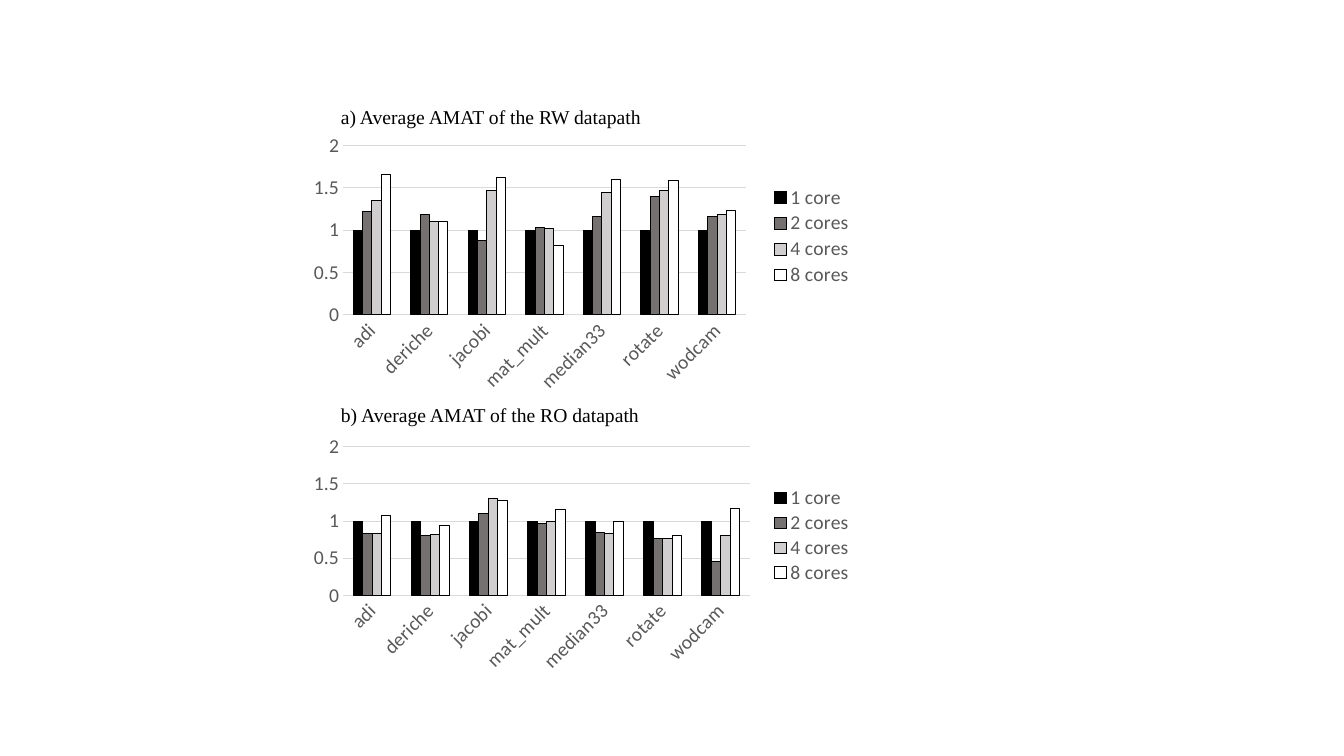
from lxml import etree
from pptx import Presentation
from pptx import util as u
from pptx.chart.data import CategoryChartData
from pptx.dml.color import RGBColor
from pptx.enum import chart as ch
from pptx.enum import text
from pptx.oxml.ns import qn

COLOURS = {
    "ink": "000000",
    "label": "595959",
    "grid": "D9D9D9",
    "1 core ": "000000",
    "2 cores": "767171",
    "4 cores": "D0CECE",
    "8 cores": "FFFFFF",
}
BENCHMARKS = ["adi", "deriche", "jacobi", "mat_mult", "median33", "rotate", "wodcam"]
RW_AMAT = {
    "1 core ": [1] * 7,
    "2 cores": [1.22, 1.18, 0.88, 1.03, 1.16, 1.4, 1.16],
    "4 cores": [1.35, 1.1, 1.47, 1.02, 1.44, 1.47, 1.18],
    "8 cores": [1.66, 1.1, 1.62, 0.82, 1.6, 1.58, 1.23],
}
RO_AMAT = {
    "1 core ": [1] * 7,
    "2 cores": [0.83, 0.81, 1.1, 0.97, 0.84, 0.76, 0.46],
    "4 cores": [0.83, 0.82, 1.3, 1, 0.83, 0.77, 0.8],
    "8 cores": [1.07, 0.94, 1.28, 1.15, 1, 0.81, 1.17],
}


def px(length):
    return u.Emu(round(length * 914400 / 100.8))


def colour(name):
    return RGBColor.from_string(COLOURS[name])


class SlideBuilder:
    chart_font = "Calibri"
    caption_font = "Times New Roman"
    size = u.Pt(14)
    line_width = u.Pt(0.75)

    def __init__(self, slide):
        self.slide = slide

    def style_font(self, font, name, colour_name):
        font.name = name
        font.size = self.size
        font.color.rgb = colour(colour_name)

    def style_line(self, line, colour_name):
        line.color.rgb = colour(colour_name)
        line.width = self.line_width

    def set_layout(self, parent, index, box, inner=False):
        for old in parent.findall(qn("c:layout")):
            parent.remove(old)
        layout = etree.Element(qn("c:layout"))
        manual = etree.SubElement(layout, qn("c:manualLayout"))
        settings = [("layoutTarget", "inner")] if inner else []
        settings += [("xMode", "edge"), ("yMode", "edge"), *zip("xywh", box)]
        for tag, value in settings:
            etree.SubElement(manual, qn(f"c:{tag}")).set("val", str(value))
        parent.insert(index, layout)

    def caption(self, left, top, width, height, words):
        shape = self.slide.shapes.add_textbox(*map(px, (left, top, width, height)))
        frame = shape.text_frame
        frame.word_wrap = True
        frame.auto_size = text.MSO_AUTO_SIZE.SHAPE_TO_FIT_TEXT
        run = frame.paragraphs[0].add_run()
        run.text = words
        self.style_font(run.font, self.caption_font, "ink")

    def column_chart(self, left, top, width, height, values, plot_box, legend_box, legend_position):
        data = CategoryChartData()
        data.categories = BENCHMARKS
        for name, numbers in values.items():
            data.add_series(name, numbers)
        frame = self.slide.shapes.add_chart(
            ch.XL_CHART_TYPE.COLUMN_CLUSTERED, *map(px, (left, top, width, height)), data
        )
        chart = frame.chart
        self.style_font(chart.font, self.chart_font, "ink")
        chart.has_title = False
        plot = chart.plots[0]
        plot.vary_by_categories = False
        plot.gap_width = 219
        plot.overlap = 0
        for series in plot.series:
            series.format.fill.solid()
            series.format.fill.fore_color.rgb = colour(series.name)
            self.style_line(series.format.line, "ink")
            series.invert_if_negative = False

        for axis in (chart.category_axis, chart.value_axis):
            axis.major_tick_mark = axis.minor_tick_mark = ch.XL_TICK_MARK.NONE
            self.style_font(axis.tick_labels.font, self.chart_font, "label")
        self.style_line(chart.category_axis.format.line, "grid")
        body = chart.category_axis._element.find(qn("c:txPr")).find(qn("a:bodyPr"))
        body.set("rot", "-2700000")
        axis = chart.value_axis
        axis.minimum_scale, axis.maximum_scale, axis.major_unit = 0, 2, 0.5
        axis.format.line.fill.background()
        axis.has_major_gridlines = True
        self.style_line(axis.major_gridlines.format.line, "grid")

        chart.has_legend = True
        legend = chart.legend
        legend.position = legend_position
        legend.include_in_layout = False
        self.style_font(legend.font, self.chart_font, "label")
        self.set_layout(legend._element, 1, legend_box)
        plot_area = chart._chartSpace.chart.plotArea
        self.set_layout(plot_area, 0, plot_box, inner=True)


def main():
    presentation = Presentation()
    presentation.slide_width = px(1344)
    presentation.slide_height = px(756)
    builder = SlideBuilder(presentation.slides.add_slide(presentation.slide_layouts[6]))
    position = ch.XL_LEGEND_POSITION
    builder.column_chart(
        301, 123, 577, 302, RW_AMAT,
        (0.073, 0.074, 0.698, 0.562), (0.81, 0.2, 0.15, 0.35), position.RIGHT,
    )
    builder.column_chart(
        301, 415, 577, 280, RO_AMAT,
        (0.073, 0.114, 0.705, 0.53), (0.81, 0.25, 0.15, 0.36), position.BOTTOM,
    )
    builder.caption(331, 100, 419, 34, "a) Average AMAT of the RW datapath")
    builder.caption(331, 398, 419, 34, "b) Average AMAT of the RO datapath")
    presentation.save("out.pptx")


if __name__ == "__main__":
    main()
